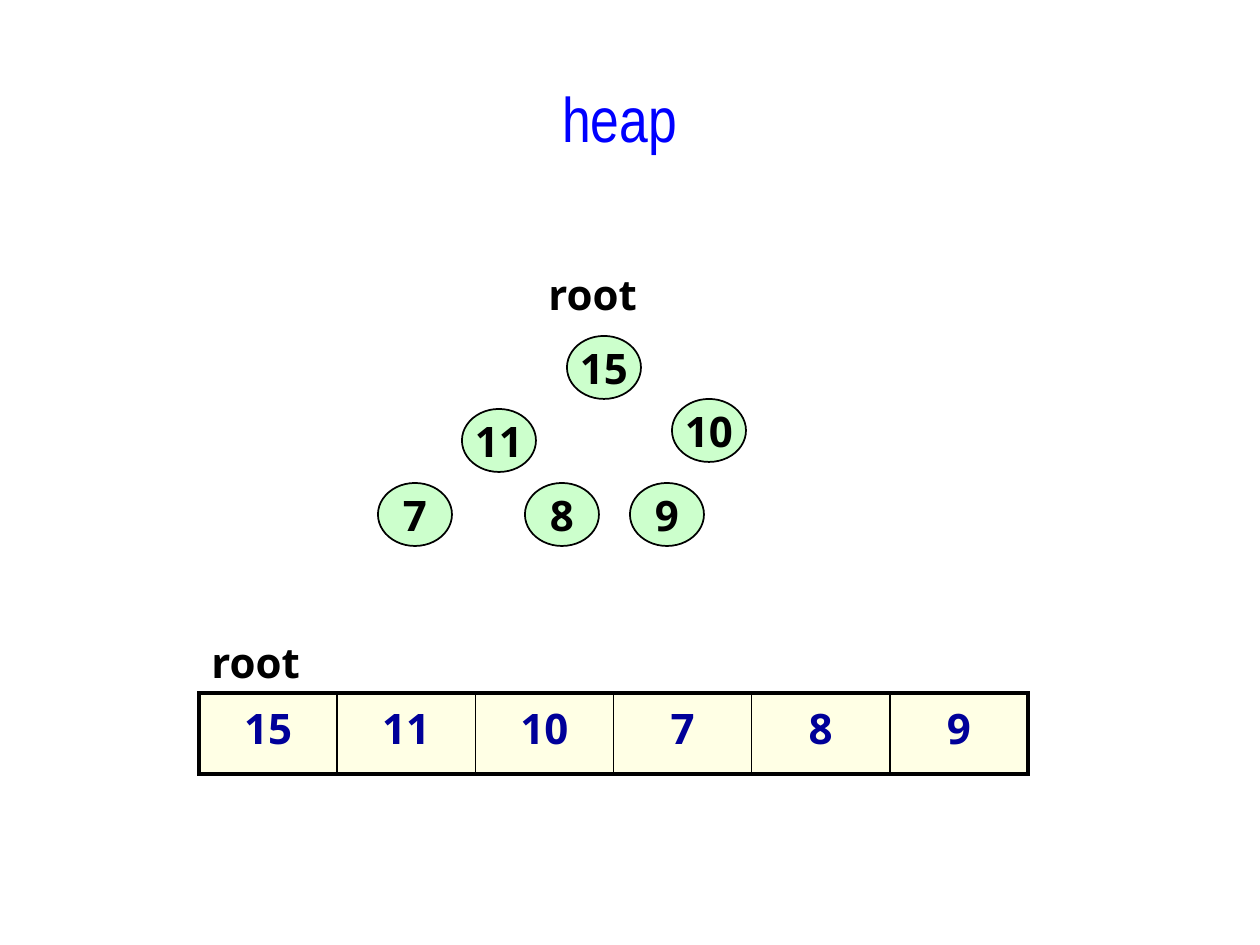
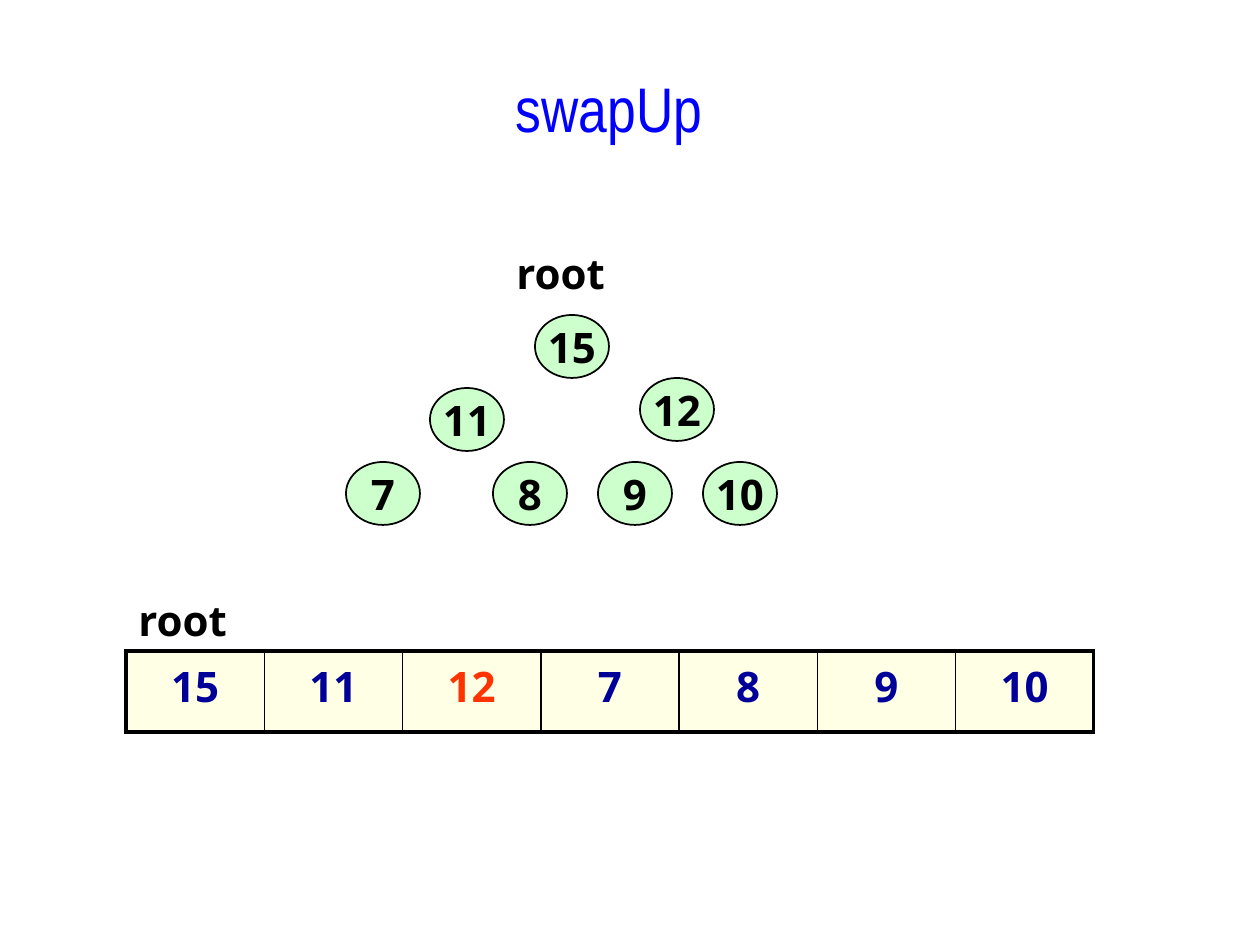
from lxml.etree import SubElement
from pptx import Presentation
from pptx.dml.color import RGBColor
from pptx.enum.shapes import MSO_SHAPE as SHAPE
from pptx.enum.text import MSO_ANCHOR as ANCHOR, MSO_AUTO_SIZE as AUTO, PP_ALIGN as ALIGN
from pptx.oxml.ns import qn
from pptx.util import Emu, Pt

EMU_PER_PX = 914400 / 126
# Offsets from the root node, in level order: slot i of the array is node i.
NODE_OFFSETS = [(0, 0), (-105, 73), (105, 63),
                (-189, 147), (-42, 147), (63, 147), (168, 147)]


def px(n):
    """Turn pixels into EMU."""
    return Emu(round(n * EMU_PER_PX))


def rgb(color):
    """Turn a hex string into a colour."""
    return RGBColor.from_string(color)


def solid(parent, color, alpha=None):
    """Add a solid fill to an XML element."""
    clr = SubElement(SubElement(parent, qn("a:solidFill")), qn("a:srgbClr"), val=color)
    if alpha is not None:
        SubElement(clr, qn("a:alpha"), val=str(alpha * 1000))


def write(tf, text, font="Noto Sans", size=24, color="000000", bold=True,
          align=ALIGN.LEFT, outline=None):
    """Write one formatted paragraph into a text frame."""
    p = tf.paragraphs[0]
    p.alignment = align
    r = p.add_run()
    r.text = text
    r.font.name, r.font.size, r.font.bold = font, Pt(size), bold
    r.font.color.rgb = rgb(color)
    if outline:
        rpr = r.font._element
        ln = SubElement(rpr, qn("a:ln"), w=str(Pt(0.75)))
        solid(ln, outline)
        rpr.insert(0, ln)


class Deck:
    """Holds the style and the current slide."""

    LINE = "000000"
    NODE = "CCFFCC"
    CELL = "FFFFCC"
    VALUE = "000099"
    CHANGED = "FF3300"
    TITLE = dict(font="Arial Narrow", size=36, color="0000FF", bold=False,
                 align=ALIGN.CENTER, outline="FFFF00")

    def __init__(self):
        """Start a 4:3 presentation."""
        self.prs = Presentation()
        self.prs.slide_width, self.prs.slide_height = px(1260), px(945)

    def slide(self):
        """Add a blank slide and make it current."""
        self.s = self.prs.slides.add_slide(self.prs.slide_layouts[6])

    def box(self, x, y, w, h, wrap):
        """Add a text box and return its text frame."""
        tf = self.s.shapes.add_textbox(px(x), px(y), px(w), px(h)).text_frame
        tf.word_wrap = wrap
        return tf

    def title(self, text, x, y, w, h):
        """Add the slide title."""
        write(self.box(x, y, w, h, False), text, **self.TITLE)

    def label(self, text, x, y, w):
        """Add a label that grows with its text."""
        tf = self.box(x, y, w, 63, True)
        tf.auto_size = AUTO.SHAPE_TO_FIT_TEXT
        write(tf, text)

    def node(self, text, x, y):
        """Add one tree node."""
        sp = self.s.shapes.add_shape(SHAPE.OVAL, px(x), px(y), px(74), px(63))
        sp.shadow.inherit = False
        sp.fill.solid()
        sp.fill.fore_color.rgb = rgb(self.NODE)
        sp.line.color.rgb = rgb(self.LINE)
        sp.line.width = Pt(1)
        tf = sp.text_frame
        tf.word_wrap = False
        tf.vertical_anchor = ANCHOR.MIDDLE
        write(tf, text, align=ALIGN.CENTER)

    def tree(self, values, x, y):
        """Draw the heap as a tree whose root node is at x, y."""
        self.label("root", x - 31, y - 74, 189)
        for text, (dx, dy) in zip(values, NODE_OFFSETS):
            self.node(text, x + dx, y + dy)

    def cell(self, cell, text, color, left, right):
        """Fill, border and write one array cell."""
        write(cell.text_frame, text, color=color, align=ALIGN.CENTER)
        tcpr = cell._tc.get_or_add_tcPr()
        for side, width in (("L", left), ("R", right), ("T", 2.25), ("B", 2.25)):
            ln = SubElement(tcpr, qn("a:ln" + side), w=str(Pt(width)))
            solid(ln, self.LINE)
        solid(tcpr, self.CELL, alpha=50)

    def array(self, values, x, y, w, changed=None):
        """Draw the heap as a one-row table, with a label above the root."""
        self.label("root", x, y - 63, 882)
        n = len(values)
        table = self.s.shapes.add_table(1, n, px(x), px(y), px(w), px(81)).table
        table.first_row = table.horz_banding = False
        for i, text in enumerate(values):
            table.columns[i].width = px(w / n)
            self.cell(table.cell(0, i), text,
                      self.CHANGED if i == changed else self.VALUE,
                      left=2.25 if i == 0 else 1,
                      right=2.25 if i == n - 1 else 1)


deck = Deck()

deck.slide()
heap = ["15", "11", "10", "7", "8", "9"]
deck.title("heap", 189, 73, 861, 116)
deck.tree(heap, 567, 336)
deck.array(heap, 199, 693, 829)

deck.slide()
heap = ["15", "11", "12", "7", "8", "9", "10"]
deck.title("swapUp", 273, 63, 672, 84)
deck.tree(heap, 535, 315)
deck.array(heap, 126, 651, 968, changed=2)

deck.prs.save("out.pptx")
